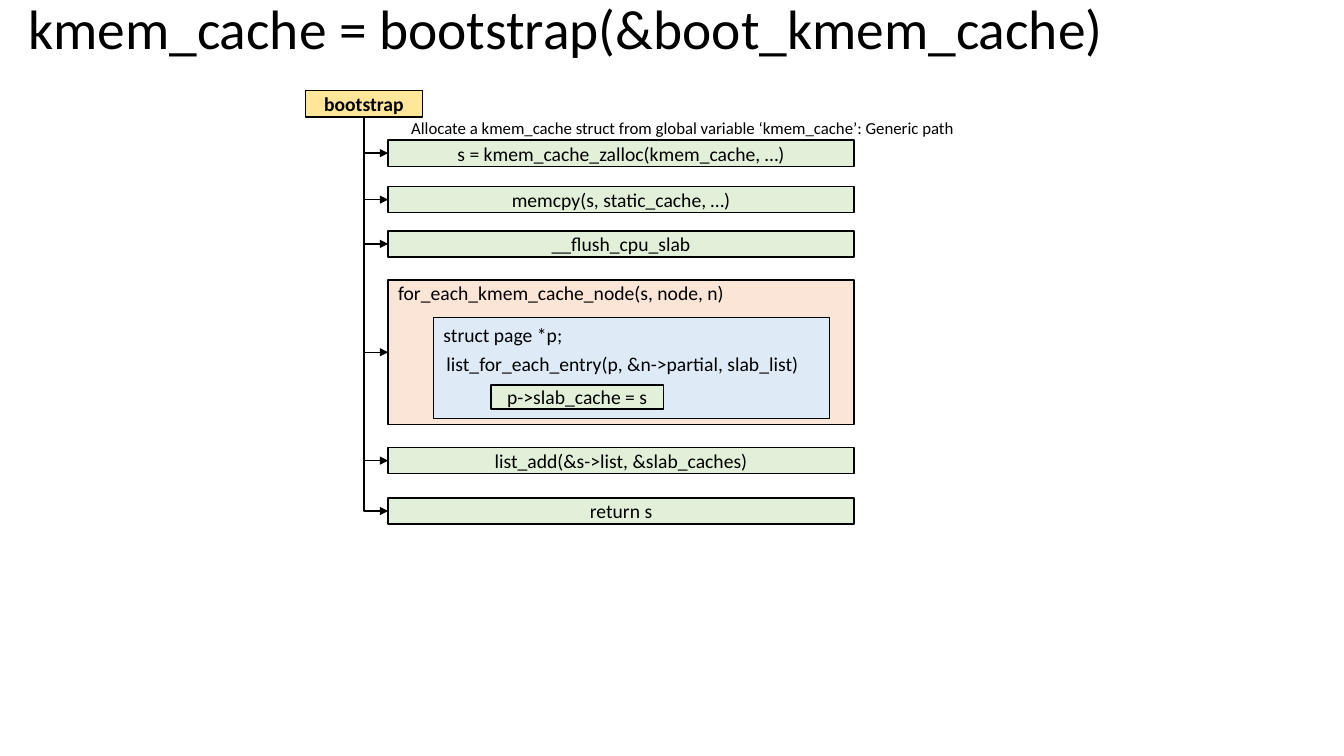
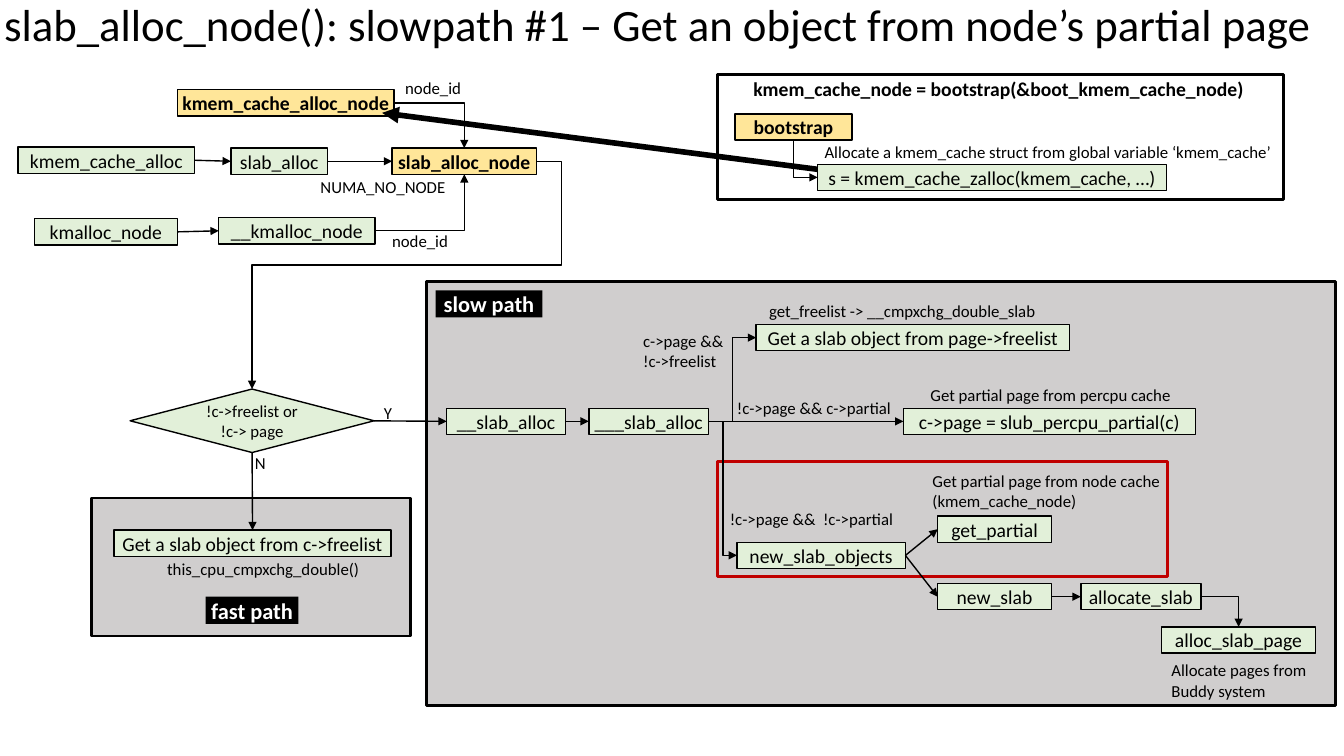
from dataclasses import dataclass
from enum import IntEnum
from typing import Iterable, Optional

from pptx import Presentation
from pptx import util as u
from pptx.dml.color import RGBColor
from pptx.enum import shapes, text
from pptx.oxml import ns, xmlchemy

BLACK = RGBColor(0x00, 0x00, 0x00)
WHITE = RGBColor(0xFF, 0xFF, 0xFF)
YELLOW = RGBColor(0xFF, 0xE6, 0x99)
GREEN = RGBColor(0xE2, 0xF0, 0xD9)
PEACH = RGBColor(0xFB, 0xE5, 0xD6)
BLUE = RGBColor(0xDE, 0xEB, 0xF7)
GREY = RGBColor(0xD0, 0xCE, 0xCE)
RED = RGBColor(0xC0, 0x00, 0x00)
FONT = "Calibri"
PX = 9144
ROW = 26
RECTANGLE = shapes.MSO_SHAPE.RECTANGLE
DIAMOND = shapes.MSO_SHAPE.FLOWCHART_DECISION


class Side(IntEnum):
    TOP = 0
    LEFT = 1
    BOTTOM = 2
    RIGHT = 3


@dataclass(frozen=True)
class Style:
    fill: Optional[RGBColor] = GREEN
    line: Optional[RGBColor] = BLACK
    line_width: int = 1
    ink: RGBColor = BLACK
    size: int = 14
    bold: bool = False
    inset: int = 5
    outline: shapes.MSO_SHAPE = RECTANGLE


CALL = Style()
ENTRY = Style(fill=YELLOW, bold=True)
DECISION = Style(size=12, inset=0, outline=DIAMOND)
TAG = Style(fill=BLACK, line=None, ink=WHITE, size=16, bold=True, inset=0)
LOOP = Style(fill=PEACH)
LOOP_BODY = Style(fill=BLUE)
ZONE = Style(fill=GREY, line_width=2)
FRAME = Style(fill=None, line_width=2)
HIGHLIGHT = Style(fill=None, line=RED, line_width=2)


@dataclass(frozen=True)
class Box:
    left: int
    top: int
    width: int
    height: int
    text: str = ""
    style: Style = CALL
    name: str = ""


@dataclass(frozen=True)
class Label:
    left: int
    top: int
    width: int
    text: str
    size: int = 12
    bold: bool = False
    align: text.PP_ALIGN = text.PP_ALIGN.LEFT


@dataclass(frozen=True)
class Link:
    source: str
    target: str
    leave: Side = Side.RIGHT
    enter: Side = Side.LEFT
    geometry: str = "line"
    adjusts: tuple[int, ...] = ()


def format_text(frame, size: float, ink: RGBColor, bold: bool, align) -> None:
    for para in frame.paragraphs:
        para.alignment = align
        for span in para.runs:
            span.font.name = FONT
            span.font.size = u.Pt(size)
            span.font.bold = bold
            span.font.color.rgb = ink


def add_page(deck, title: str, left: int, top: int, width: int, size: float):
    page = deck.slides.add_slide(deck.slide_layouts[5])
    box = page.shapes.title
    box.left, box.top, box.width, box.height = (v * PX for v in (left, top, width, 75))
    frame = box.text_frame
    frame.text = title
    frame.auto_size = text.MSO_AUTO_SIZE.NONE
    frame.vertical_anchor = text.MSO_ANCHOR.MIDDLE
    frame.paragraphs[0].line_spacing = 0.9
    format_text(frame, size, BLACK, False, text.PP_ALIGN.LEFT)
    return page


def draw_box(page, box: Box):
    style = box.style
    shape = page.shapes.add_shape(
        style.outline, box.left * PX, box.top * PX, box.width * PX, box.height * PX)
    shape.shadow.inherit = False
    if style.fill is None:
        shape.fill.background()
    else:
        shape.fill.solid()
        shape.fill.fore_color.rgb = style.fill
    if style.line is None:
        shape.line.fill.background()
    else:
        shape.line.color.rgb = style.line
        shape.line.width = u.Pt(style.line_width)
    if box.text:
        frame = shape.text_frame
        frame.text = box.text
        frame.word_wrap = False
        frame.vertical_anchor = text.MSO_ANCHOR.MIDDLE
        frame.margin_left = frame.margin_right = style.inset * PX
        frame.margin_top = frame.margin_bottom = style.inset * PX
        format_text(frame, style.size, style.ink, style.bold, text.PP_ALIGN.CENTER)
    return shape


def draw_label(page, label: Label) -> None:
    box = page.shapes.add_textbox(
        label.left * PX, label.top * PX, label.width * PX, 30 * PX)
    frame = box.text_frame
    frame.word_wrap = True
    frame.text = label.text
    format_text(frame, label.size, BLACK, label.bold, label.align)


def style_arrow(connector, width: int) -> None:
    connector.line.color.rgb = BLACK
    connector.line.width = u.Pt(width)
    tail = xmlchemy.OxmlElement("a:tailEnd")
    tail.set("type", "triangle")
    connector.line._get_or_add_ln().append(tail)
    connector._element.spPr.append(xmlchemy.OxmlElement("a:effectLst"))


def turn_down_first(connector) -> None:
    width, height = connector.width, connector.height
    connector.left += (width - height) // 2
    connector.top += (height - width) // 2
    connector.width, connector.height = height, width
    xfrm = connector._element.spPr.find(ns.qn("a:xfrm"))
    xfrm.set("rot", "16200000")
    xfrm.set("flipH", "1")


def draw_link(page, link: Link, boxes: dict) -> None:
    kind = shapes.MSO_CONNECTOR.STRAIGHT if link.geometry == "line" else shapes.MSO_CONNECTOR.ELBOW
    connector = page.shapes.add_connector(kind, 0, 0, 0, 0)
    connector.begin_connect(boxes[link.source], link.leave)
    connector.end_connect(boxes[link.target], link.enter)
    geometry = connector._element.spPr.find(ns.qn("a:prstGeom"))
    geometry.set("prst", link.geometry)
    for number, value in enumerate(link.adjusts, 1):
        guide = xmlchemy.OxmlElement("a:gd")
        guide.set("name", f"adj{number}")
        guide.set("fmla", f"val {value}")
        geometry.find(ns.qn("a:avLst")).append(guide)
    if link.geometry == "bentConnector2" and link.leave == Side.BOTTOM:
        turn_down_first(connector)
    style_arrow(connector, 1)


def draw_diagram(page, boxes: Iterable[Box], links: Iterable[Link],
                 labels: Iterable[Label]) -> None:
    drawn = {box.name or box.text: draw_box(page, box) for box in boxes}
    for link in links:
        draw_link(page, link, drawn)
    for label in labels:
        draw_label(page, label)


def down_link(source: str, target: str) -> Link:
    return Link(source, target, Side.BOTTOM, Side.LEFT, "bentConnector2")


def build_bootstrap(deck) -> None:
    page = add_page(deck, "kmem_cache = bootstrap(&boot_kmem_cache)", 18, -6, 1241, 39.6)
    steps = [
        Box(385, top, 462, ROW, call) for top, call in (
            (139, "s = kmem_cache_zalloc(kmem_cache, …)"),
            (185, "memcpy(s, static_cache, …)"),
            (229, "__flush_cpu_slab"),
            (444, "list_add(&s->list, &slab_caches)"),
            (494, "return s"),
        )
    ]
    loop = Box(385, 278, 462, 143, style=LOOP, name="loop")
    boxes = [
        Box(303, 90, 116, ROW, "bootstrap", ENTRY),
        *steps,
        loop,
        Box(430, 315, 393, 100, style=LOOP_BODY, name="loop body"),
        Box(487, 382, 171, 24, "p->slab_cache = s"),
    ]
    links = [down_link("bootstrap", box.name or box.text) for box in (*steps, loop)]
    labels = [
        Label(398, 112, 590,
              "Allocate a kmem_cache struct from global variable ‘kmem_cache’: Generic path"),
        Label(385, 274, 358, "for_each_kmem_cache_node(s, node, n)", 14),
        Label(430, 315, 181, "struct page *p;", 14),
        Label(433, 344, 387, "list_for_each_entry(p, &n->partial, slab_list)", 14),
    ]
    draw_diagram(page, boxes, links, labels)


def build_slow_path(deck) -> None:
    page = add_page(
        deck, "slab_alloc_node(): slowpath #1 – Get an object from node’s partial page",
        -6, -11, 1346, 32)
    zalloc = "s = kmem_cache_zalloc(kmem_cache, …)"
    fast_get = "Get a slab object from c->freelist"
    page_get = "Get a slab object from page->freelist"
    percpu_get = "c->page = slub_percpu_partial(c)"
    boxes = [
        Box(423, 279, 902, 421, style=ZONE, name="slow zone"),
        Box(91, 494, 316, 137, style=ZONE, name="fast zone"),
        Box(712, 74, 561, 124, style=FRAME, name="bootstrap frame"),
        Box(712, 458, 446, 114, style=HIGHLIGHT, name="node partial"),
        Box(432, 288, 106, 27, "slow path", TAG),
        Box(204, 592, 92, 27, "fast path", TAG),
        Box(176, 89, 215, ROW, "kmem_cache_alloc_node", ENTRY),
        Box(389, 147, 143, ROW, "slab_alloc_node", ENTRY),
        Box(729, 113, 116, ROW, "bootstrap", ENTRY),
        Box(811, 163, 346, ROW, zalloc),
        Box(18, 146, 175, ROW, "kmem_cache_alloc"),
        Box(229, 147, 96, ROW, "slab_alloc"),
        Box(34, 217, 142, ROW, "kmalloc_node"),
        Box(217, 216, 155, ROW, "__kmalloc_node"),
        Box(129, 386, 242, 63, "!c->freelist or\v!c-> page", DECISION, "decision"),
        Box(113, 526, 275, ROW, fast_get),
        Box(443, 405, 118, ROW, "__slab_alloc"),
        Box(584, 405, 119, ROW, "___slab_alloc"),
        Box(750, 322, 311, ROW, page_get),
        Box(896, 405, 290, ROW, percpu_get),
        Box(731, 538, 167, ROW, "new_slab_objects"),
        Box(930, 512, 113, ROW, "get_partial"),
        Box(930, 579, 113, ROW, "new_slab"),
        Box(1072, 579, 119, ROW, "allocate_slab"),
        Box(1152, 622, 153, ROW, "alloc_slab_page"),
    ]
    straight = (
        ("kmem_cache_alloc", "slab_alloc"),
        ("slab_alloc", "slab_alloc_node"),
        ("kmalloc_node", "__kmalloc_node"),
        ("decision", "__slab_alloc"),
        ("__slab_alloc", "___slab_alloc"),
        ("___slab_alloc", percpu_get),
        ("new_slab_objects", "get_partial"),
        ("new_slab_objects", "new_slab"),
        ("new_slab", "allocate_slab"),
    )
    links = [
        *(Link(source, target) for source, target in straight),
        Link("decision", fast_get, Side.BOTTOM, Side.TOP),
        Link("kmem_cache_alloc_node", "slab_alloc_node", enter=Side.TOP,
             geometry="bentConnector2"),
        Link("__kmalloc_node", "slab_alloc_node", enter=Side.BOTTOM,
             geometry="bentConnector2"),
        Link("allocate_slab", "alloc_slab_page", enter=Side.TOP, geometry="bentConnector2"),
        Link("___slab_alloc", page_get, geometry="bentConnector3"),
        Link("___slab_alloc", "new_slab_objects", geometry="bentConnector3"),
        Link("slab_alloc_node", "decision", enter=Side.TOP,
             geometry="bentConnector4", adjusts=(-8900, 45500)),
        down_link("bootstrap", zalloc),
    ]
    labels = [
        Label(392, 72, 80, "node_id"),
        Label(379, 224, 80, "node_id"),
        Label(308, 170, 155, "NUMA_NO_NODE"),
        Label(371, 395, 31, "Y"),
        Label(243, 444, 31, "N"),
        Label(156, 549, 226, "this_cpu_cmpxchg_double()"),
        Label(753, 293, 290, "get_freelist -> __cmpxchg_double_slab"),
        Label(628, 323, 106, "c->page &&\n!c->freelist"),
        Label(721, 390, 196, "!c->page && c->partial"),
        Label(714, 500, 186, "!c->page &&  !c->partial"),
        Label(913, 377, 271, "Get partial page from percpu cache"),
        Label(915, 462, 271, "Get partial page from node cache (kmem_cache_node)"),
        Label(1152, 650, 171, "Allocate pages from Buddy system"),
        Label(808, 136, 477,
              "Allocate a kmem_cache struct from global variable ‘kmem_cache’"),
        Label(720, 71, 541, "kmem_cache_node = bootstrap(&boot_kmem_cache_node)",
              14, True, text.PP_ALIGN.CENTER),
    ]
    draw_diagram(page, boxes, links, labels)
    pointer = page.shapes.add_connector(
        shapes.MSO_CONNECTOR.STRAIGHT, 811 * PX, 168 * PX, 379 * PX, 112 * PX)
    style_arrow(pointer, 4)


def main() -> None:
    deck = Presentation()
    deck.slide_width, deck.slide_height = 1333 * PX, 750 * PX
    build_bootstrap(deck)
    build_slow_path(deck)
    deck.save("out.pptx")


if __name__ == "__main__":
    main()
